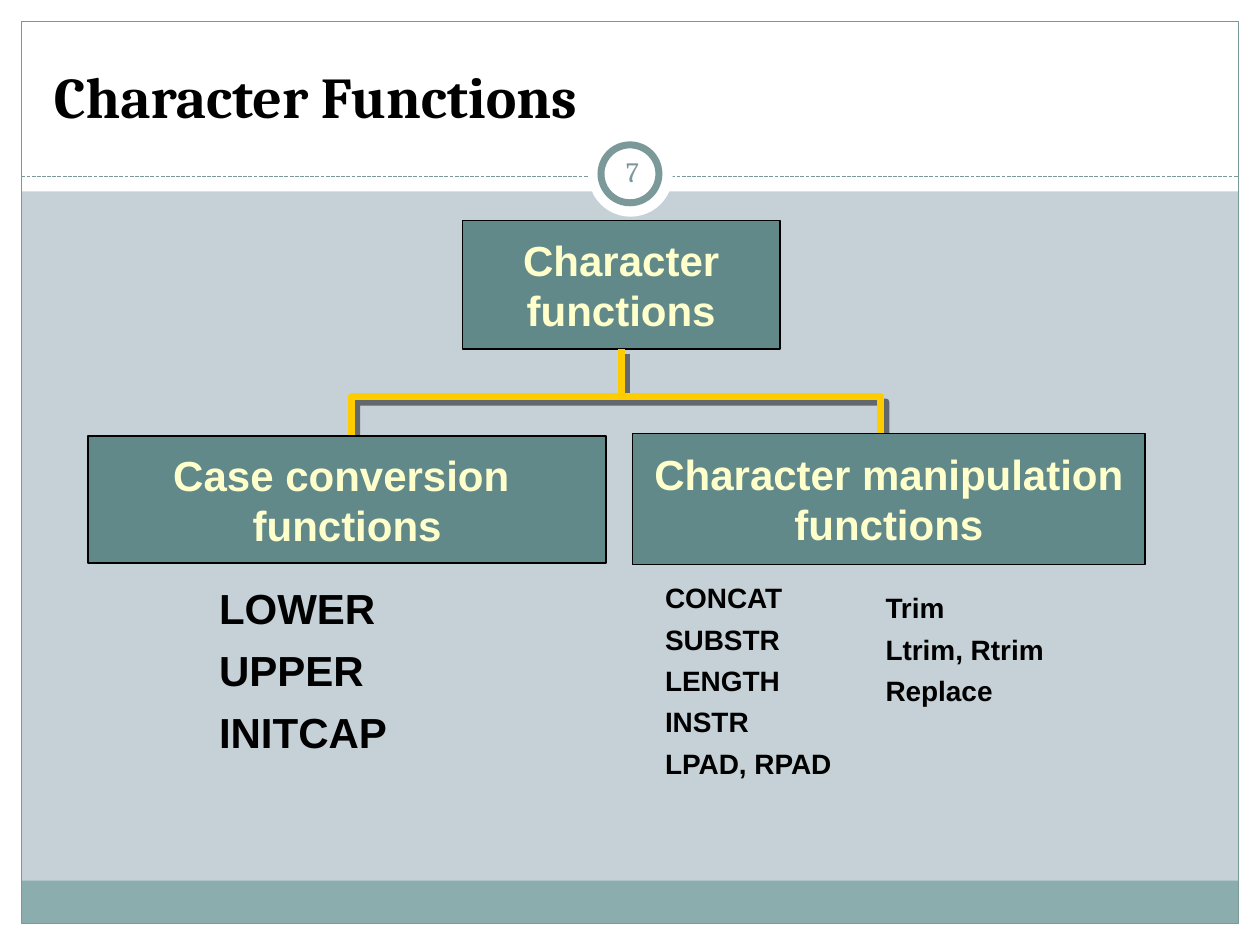
from dataclasses import dataclass

from lxml.etree import SubElement
from pptx import Presentation
from pptx.dml.color import RGBColor
from pptx.enum.dml import MSO_LINE
from pptx.enum.shapes import MSO_CONNECTOR, MSO_SHAPE
from pptx.enum.text import MSO_ANCHOR, PP_ALIGN
from pptx.oxml.ns import qn
from pptx.util import Pt

PX = 9144
W, H = 1000, 750


@dataclass(frozen=True)
class Theme:
    """Colours, fonts and type sizes of the slide."""
    back: str = "C5D1D7"
    white: str = "FFFFFF"
    black: str = "000000"
    band: str = "8CADAE"
    rule: str = "7C999A"
    node: str = "61898A"
    cream: str = "FFFFCC"
    gold: str = "FFCC00"
    serif: str = "Cambria"
    sans: str = "Arial"
    title: int = 33
    large: int = 24
    small: int = 16


T = Theme()


def emu(*px):
    """Turn px lengths into EMU."""
    return [v * PX for v in px]


def rgb(color):
    """Turn a hex string into a colour."""
    return RGBColor.from_string(color)


def set_line(s, color, width):
    """Give a shape or connector a solid line."""
    s.line.color.rgb = rgb(color)
    s.line.width = Pt(width)


def set_shadow(s, shown):
    """Replace the theme shadow of a shape by a soft grey one or by none."""
    sp_pr = s._element.spPr
    for old in sp_pr.findall(qn("a:effectLst")):
        sp_pr.remove(old)
    effects = SubElement(sp_pr, qn("a:effectLst"))
    if shown:
        outer = SubElement(effects, qn("a:outerShdw"), dist=str(Pt(4.2)),
                           dir="2700000", algn="ctr", rotWithShape="0")
        color = SubElement(outer, qn("a:srgbClr"), val=T.black)
        SubElement(color, qn("a:alpha"), val="50000")


def add_box(slide, box, kind=MSO_SHAPE.RECTANGLE, fill=None, line=None, width=0.75):
    """Add a preset shape with an optional fill and outline."""
    s = slide.shapes.add_shape(kind, *emu(*box))
    s.shadow.inherit = False
    if fill:
        s.fill.solid()
        s.fill.fore_color.rgb = rgb(fill)
    else:
        s.fill.background()
    if line:
        set_line(s, line, width)
    else:
        s.line.fill.background()
    return s


def add_text(s, text, size, color=T.black, font=T.sans, bold=True, align=PP_ALIGN.LEFT,
             anchor=MSO_ANCHOR.TOP, wrap=False, inset=10, spacing=None, before=0):
    """Write the lines of a text into a shape, one paragraph each."""
    tf = s.text_frame
    tf.word_wrap = wrap
    tf.vertical_anchor = anchor
    tf.margin_left = tf.margin_right = inset * PX
    tf.margin_top = tf.margin_bottom = 5 * PX
    for i, line in enumerate(text.split("\n")):
        p = tf.add_paragraph() if i else tf.paragraphs[0]
        p.alignment = align
        if spacing:
            p.line_spacing = spacing
        if i and before:
            p.space_before = Pt(before)
        r = p.add_run()
        r.text = line
        r.font.name, r.font.size, r.font.bold = font, Pt(size), bold
        r.font.color.rgb = rgb(color)


def add_frame(slide, box):
    """Draw the white margins, footer band and outline around the slide."""
    x, y, w, h = box
    m = 17
    for strip in ((x, y + h - m, w, m), (x, y, w, 152),
                  (x, y, m, h), (x + w - m, y, m, h)):
        add_box(slide, strip, fill=T.white)
    add_box(slide, (x + m, y + h - m - 34, w - 2 * m, 34), fill=T.band)
    add_box(slide, (x + m, y + m, w - 2 * m, h - 2 * m), line=T.rule)


def add_header(slide, box, title, number):
    """Place the title, dashed rule and numbered ring."""
    x, y, w, h = box
    rule = slide.shapes.add_connector(MSO_CONNECTOR.STRAIGHT, *emu(x, y + h, x + w, y + h))
    set_line(rule, T.rule, 0.75)
    rule.line.dash_style = MSO_LINE.SQUARE_DOT
    set_shadow(rule, False)
    mid = x + w // 2
    add_box(slide, (mid - 33, y + h - 35, 67, 67), MSO_SHAPE.OVAL, fill=T.white)
    add_box(slide, (mid - 23, y + h - 25, 46, 46), MSO_SHAPE.OVAL,
            fill=T.white, line=T.rule, width=4)
    s = slide.shapes.add_textbox(*emu(x + 16, y + 8, w - 33, 83))
    add_text(s, title, T.title, font=T.serif, anchor=MSO_ANCHOR.BOTTOM, wrap=True)
    s = slide.shapes.add_textbox(*emu(mid - 23, y + h - 28, 50, 48))
    add_text(s, number, T.small, color=T.rule, font=T.serif, bold=False, inset=5,
             align=PP_ALIGN.CENTER, anchor=MSO_ANCHOR.MIDDLE, wrap=True)


def add_node(slide, box, text):
    """Add one labelled box of the tree."""
    s = add_box(slide, box, fill=T.node, line=T.black, width=1)
    add_text(s, text, T.large, color=T.cream, align=PP_ALIGN.CENTER,
             anchor=MSO_ANCHOR.MIDDLE)
    return s


def add_list(slide, box, text, size):
    """Add a column of function names."""
    s = slide.shapes.add_textbox(*emu(*box))
    add_text(s, text, size, spacing=0.9, before=0.4 * size)


def add_tree(slide, box):
    """Draw the root, its branches and the function lists."""
    x, y, w, h = box
    root = add_node(slide, (x + 297, y, 252, 102), "Character\nfunctions")
    bus_y = y + 140
    stem = slide.shapes.add_connector(MSO_CONNECTOR.STRAIGHT,
                                      *emu(x + 423, bus_y - 2, x + 423, y + 102))
    stem.end_connect(root, 2)
    set_line(stem, T.gold, 4)
    set_shadow(stem, True)
    left, right = x + 209, x + 629
    builder = slide.shapes.build_freeform(left, y + 195, scale=PX)
    builder.add_line_segments([(left, bus_y), (right, bus_y), (right, y + 199)], close=False)
    bus = builder.convert_to_shape()
    bus.fill.background()
    set_line(bus, T.gold, 4)
    set_shadow(bus, True)
    add_node(slide, (x, y + 171, 411, 101), "Case conversion \nfunctions")
    add_node(slide, (x + w - 407, y + 169, 407, 104), "Character manipulation\nfunctions")
    add_list(slide, (x + 94, y + 287, 153, 146), "LOWER\nUPPER\nINITCAP", T.large)
    add_list(slide, (x + 448, y + 284, 156, h - 284),
             "CONCAT\nSUBSTR\nLENGTH\nINSTR\nLPAD, RPAD", T.small)
    add_list(slide, (x + 623, y + 292, 147, 101), "Trim\nLtrim, Rtrim\nReplace", T.small)


def main():
    """Build and save the slide."""
    prs = Presentation()
    prs.slide_width, prs.slide_height = emu(W, H)
    slide = prs.slides.add_slide(prs.slide_layouts[6])
    slide.background.fill.solid()
    slide.background.fill.fore_color.rgb = rgb(T.back)
    add_frame(slide, (0, 0, W, H))
    add_header(slide, (17, 17, 966, 123), "Character Functions", "7")
    add_tree(slide, (70, 175, 839, 452))
    prs.save("out.pptx")


if __name__ == "__main__":
    main()
